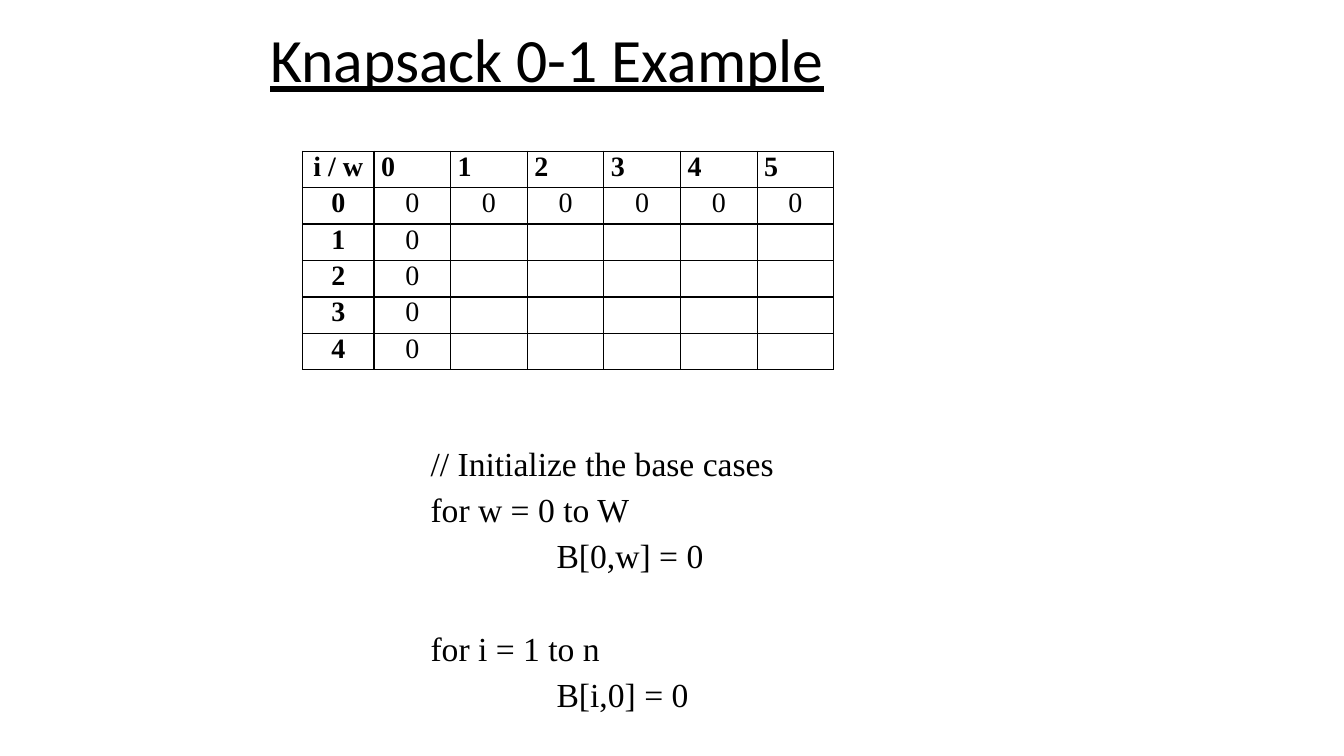
import pptx
import pptx.dml.color
import pptx.enum.text
import pptx.oxml
import pptx.oxml.ns
import pptx.util

Inches, Pt = pptx.util.Inches, pptx.util.Pt
ALIGN = pptx.enum.text.PP_ALIGN
ANCHOR = pptx.enum.text.MSO_ANCHOR
NO_FIT = pptx.enum.text.MSO_AUTO_SIZE.NONE

TITLE = "Knapsack 0-1 Example"
CAPACITIES = range(6)
ITEMS = range(5)
# (text, indent level, extra space before in points)
PSEUDOCODE = [
    ("// Initialize the base cases", 0, 0),
    ("for w = 0 to W", 0, 0),
    ("B[0,w] = 0", 1, 0),
    ("for i = 1 to n", 0, 33),
    ("B[i,0] = 0", 1, 0),
]
BLACK = "000000"
SERIF = "Times New Roman"

TITLE_BOX = (2.58, 0, 8.2, 1.25)
CODE_BOX = (4.17, 4.42, 5.08, 2.83)
TABLE_BOX = (3, 1.5, 5.27, 2.17)
LABEL_COLUMN, VALUE_COLUMN = 0.71, 0.76


def rgb(color):
    return pptx.dml.color.RGBColor.from_string(color)


def add_run(paragraph, text, size, font, bold=False):
    run = paragraph.add_run()
    run.text = text
    run.font.name = font
    run.font.size = Pt(size)
    run.font.bold = bold
    run.font.color.rgb = rgb(BLACK)
    return run


def place(holder, box):
    holder.left, holder.top, holder.width, holder.height = map(Inches, box)
    holder.text_frame.word_wrap = True
    holder.text_frame.auto_size = NO_FIT


def outline(cell):
    """Draw a thin black border on all four sides of a cell."""
    properties = cell._tc.get_or_add_tcPr()
    for position, side in enumerate(("lnL", "lnR", "lnT", "lnB")):
        properties.insert(position, pptx.oxml.parse_xml(
            f'<a:{side} {pptx.oxml.ns.nsdecls("a")} w="{Pt(1)}"><a:solidFill>'
            f'<a:srgbClr val="{BLACK}"/></a:solidFill></a:{side}>'))


def base_case_rows():
    """Header row, then row 0 and column 0 filled with zeros."""
    header = ["i / w"] + [str(w) for w in CAPACITIES]
    return [header] + [
        [str(i)] + ["0" if i == 0 or w == 0 else "" for w in CAPACITIES]
        for i in ITEMS]


def add_knapsack_table(slide):
    rows = base_case_rows()
    table = slide.shapes.add_table(
        len(rows), len(rows[0]), *map(Inches, TABLE_BOX)).table
    table.first_row = table.horz_banding = False
    for c, column in enumerate(table.columns):
        column.width = Inches(VALUE_COLUMN if c else LABEL_COLUMN)
    for r, values in enumerate(rows):
        for c, value in enumerate(values):
            cell = table.cell(r, c)
            cell.margin_left = cell.margin_right = Inches(0.07)
            cell.margin_top = cell.margin_bottom = 0
            cell.fill.background()
            outline(cell)
            paragraph = cell.text_frame.paragraphs[0]
            paragraph.alignment = ALIGN.LEFT if r == 0 and c else ALIGN.CENTER
            if value:
                add_run(paragraph, value, 20, SERIF, bold=r == 0 or c == 0)


def fill_title(title):
    place(title, TITLE_BOX)
    title.text_frame.vertical_anchor = ANCHOR.MIDDLE
    paragraph = title.text_frame.paragraphs[0]
    paragraph.alignment = ALIGN.LEFT
    paragraph.line_spacing = 0.9
    add_run(paragraph, TITLE, 44, "Calibri").font.underline = True


def fill_pseudocode(body):
    place(body, CODE_BOX)
    frame = body.text_frame
    for n, (text, level, extra) in enumerate(PSEUDOCODE):
        paragraph = frame.add_paragraph() if n else frame.paragraphs[0]
        paragraph.line_spacing = 0.8
        paragraph.space_before = Pt(10 + extra)
        properties = paragraph._p.get_or_add_pPr()
        properties.set("marL", str(Inches(1.25 if level else 0.25)))
        properties.set("indent", str(Inches(0 if level else -0.25)))
        properties.append(pptx.oxml.parse_xml(
            f'<a:buNone {pptx.oxml.ns.nsdecls("a")}/>'))
        add_run(paragraph, text, 24, SERIF)


def main():
    deck = pptx.Presentation()
    deck.slide_width, deck.slide_height = Inches(13.33), Inches(7.5)
    slide = deck.slides.add_slide(deck.slide_layouts[1])
    fill_title(slide.shapes.title)
    add_knapsack_table(slide)
    fill_pseudocode(slide.placeholders[1])
    deck.save("out.pptx")


if __name__ == "__main__":
    main()
